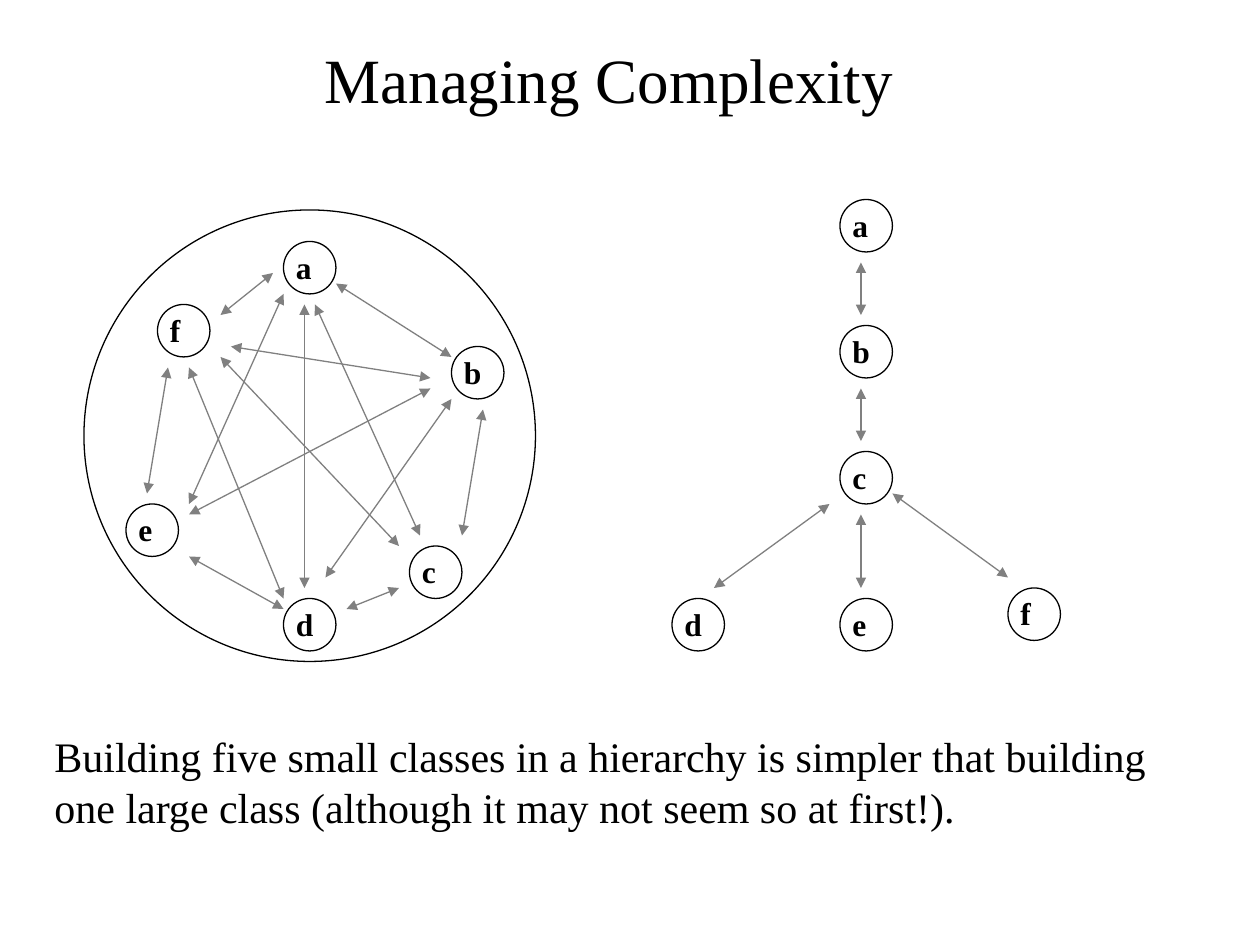
from pptx import Presentation, util as u
from pptx.dml.color import RGBColor
from pptx.enum import shapes, text
from pptx.oxml.ns import qn
from lxml import etree

BLACK = RGBColor(0, 0, 0)
GRAY = RGBColor(128, 128, 128)
FONT = "Times New Roman"

# Content
TITLE = "Managing Complexity"
NOTE = ["Building five small classes in a hierarchy is simpler that building",
        "one large class (although it may not seem so at first!)."]

# Node corners and arrow ends, in cells of 1/12 inch
WEB = {"a": (27, 23), "b": (43, 33), "c": (39, 52),
       "d": (27, 57), "e": (12, 48), "f": (15, 29)}
WEB_LINKS = [
    (29, 29, 29, 56), (21, 34, 38, 52), (41, 37, 18, 49), (32, 27, 43, 34),
    (30, 29, 40, 51), (18, 48, 27, 28), (21, 30, 26, 26), (46, 39, 44, 51),
    (43, 38, 31, 55), (41, 36, 22, 33), (38, 56, 33, 58), (18, 53, 27, 58),
    (18, 35, 27, 57), (16, 35, 14, 47)]
TREE = {"a": (80, 19), "b": (80, 31), "c": (80, 43),
        "d": (64, 57), "e": (80, 57), "f": (96, 56)}
TREE_LINKS = [(82, 25, 82, 30), (82, 37, 82, 42), (79, 48, 68, 56),
              (85, 47, 96, 55), (82, 49, 82, 56)]
RING = (8, 20, 43)
NODE = 5
WIDTHS = {"a": 0.32, "b": 0.34, "c": 0.31, "d": 0.34, "e": 0.31, "f": 0.28}


def cell(n):
    return u.Inches(n / 12)


def add_run(para, words, size, bold=False):
    run = para.add_run()
    run.text = words
    font = run.font
    font.name, font.size, font.bold = FONT, u.Pt(size), bold
    font.color.rgb = BLACK


def add_text(parent, left, top, width, height, lines, size, bold=False):
    box = parent.add_textbox(left, top, width, height)
    frame = box.text_frame
    frame.word_wrap = False
    frame.auto_size = text.MSO_AUTO_SIZE.SHAPE_TO_FIT_TEXT
    para = frame.paragraphs[0]
    for i, line in enumerate(lines):
        if i:
            para.add_line_break()
        add_run(para, line, size, bold)


def add_circle(parent, col, row, size):
    ring = parent.add_shape(shapes.MSO_SHAPE.OVAL, cell(col), cell(row),
                            cell(size), cell(size))
    ring.shadow.inherit = False
    ring.fill.background()
    ring.line.color.rgb = BLACK
    ring.line.width = u.Pt(0.75)


def add_link(parent, ends):
    link = parent.add_connector(shapes.MSO_CONNECTOR.STRAIGHT,
                                *[cell(n) for n in ends])
    link.line.color.rgb = GRAY
    link.line.width = u.Pt(0.75)
    props = link.element.spPr
    for tag in ("a:headEnd", "a:tailEnd"):
        etree.SubElement(props.find(qn("a:ln")), qn(tag), type="triangle")
    etree.SubElement(props, qn("a:effectLst"))


def add_graph(slide, nodes, links, ring=None):
    parent = slide.shapes.add_group_shape().shapes
    if ring:
        add_circle(parent, *ring)
    for name, (col, row) in nodes.items():
        add_circle(parent, col, row, NODE)
        add_text(parent, cell(col), cell(row), u.Inches(WIDTHS[name]),
                 u.Inches(0.4), [name], 18, True)
    for ends in links:
        add_link(parent, ends)


def main():
    prs = Presentation()
    prs.slide_width, prs.slide_height = u.Inches(10), u.Inches(7.5)
    slide = prs.slides.add_slide(prs.slide_layouts[5])

    # Title
    title = slide.shapes.title
    title.left, title.top = cell(7), 0
    title.width, title.height = cell(102), cell(15)
    frame = title.text_frame
    frame.vertical_anchor = text.MSO_ANCHOR.MIDDLE
    frame.paragraphs[0].alignment = text.PP_ALIGN.CENTER
    add_run(frame.paragraphs[0], TITLE, 36)

    # Closing remark
    add_text(slide.shapes, cell(4), cell(69), u.Inches(8.95), u.Inches(0.9),
             NOTE, 24)

    # Tangled web on the left, hierarchy on the right
    add_graph(slide, WEB, WEB_LINKS, RING)
    add_graph(slide, TREE, TREE_LINKS)

    prs.save("out.pptx")


if __name__ == "__main__":
    main()
